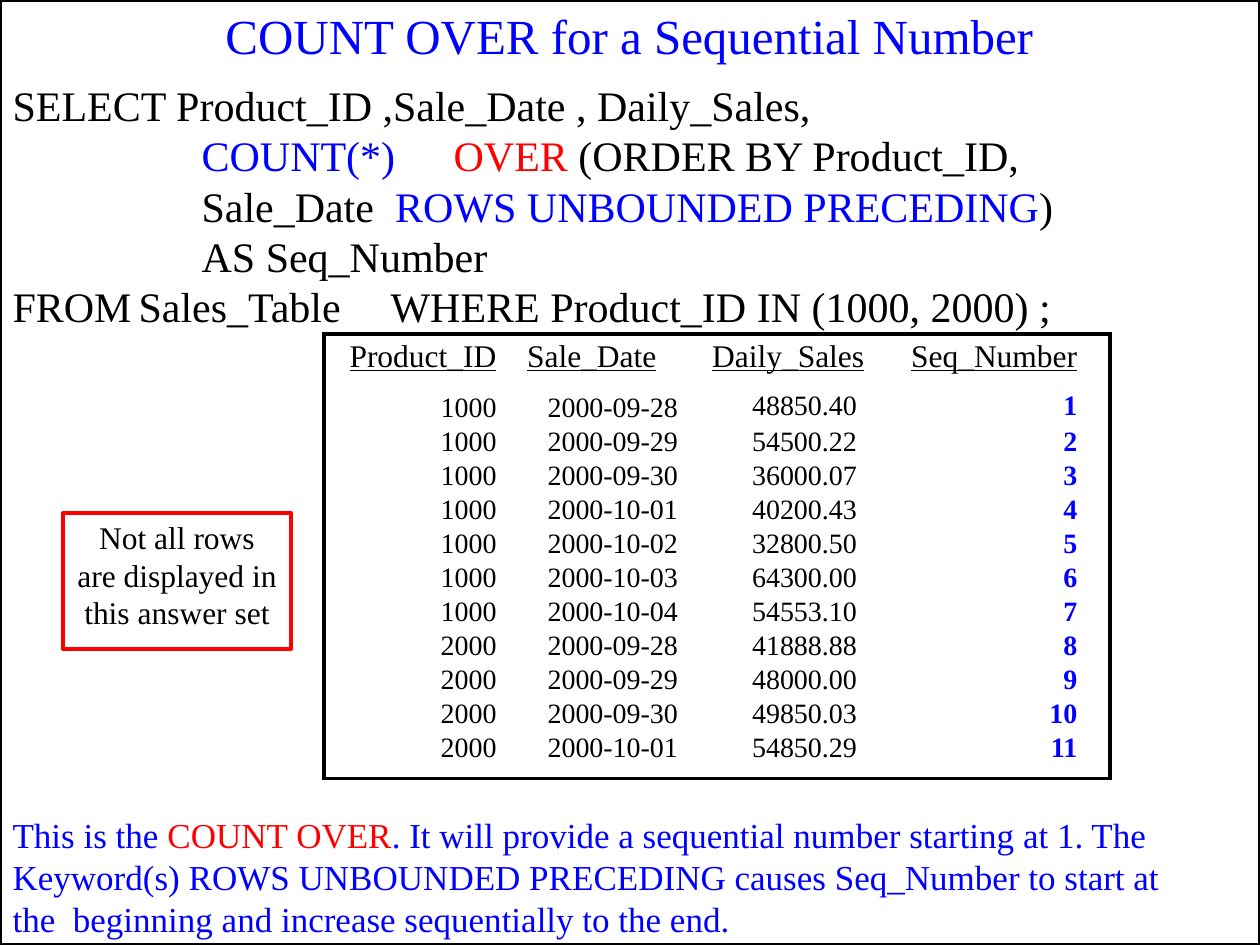
from pptx import Presentation
from pptx.dml.color import RGBColor
from pptx.enum.shapes import MSO_SHAPE
from pptx.enum.text import MSO_ANCHOR, PP_ALIGN
from pptx.oxml.ns import qn
from pptx.util import Inches, Pt
from lxml.etree import SubElement

FONT = "Times New Roman"
BLACK, BLUE, RED = "000000", "0000FF", "FF0000"
COLUMN_WIDTHS = [1.48, 1.46, 1.52, 1.78]
ROW_HEIGHTS = [0.41, 0.32] + [0.27] * 9 + [0.37]
HEADER_MARGINS = [0.11, 0.3, 0.17, 0.26]
BODY_MARGINS = [0.11, 0.13, 0.23, 0.26]
HEADERS = ["Product_ID", "Sale_Date", "Daily_Sales", "Seq_Number"]
SALES = [
    ("1000", "2000-09-28", "48850.40"),
    ("1000", "2000-09-29", "54500.22"),
    ("1000", "2000-09-30", "36000.07"),
    ("1000", "2000-10-01", "40200.43"),
    ("1000", "2000-10-02", "32800.50"),
    ("1000", "2000-10-03", "64300.00"),
    ("1000", "2000-10-04", "54553.10"),
    ("2000", "2000-09-28", "41888.88"),
    ("2000", "2000-09-29", "48000.00"),
    ("2000", "2000-09-30", "49850.03"),
    ("2000", "2000-10-01", "54850.29"),
]


def color(value):
    """Turn a hex string into a colour."""
    return RGBColor.from_string(value)


def add_run(paragraph, text, size, value=BLACK, bold=False, underline=False):
    """Append one formatted run to a paragraph."""
    run = paragraph.add_run()
    run.text = text
    font = run.font
    font.name, font.size, font.bold, font.underline = FONT, Pt(size), bold, underline
    font.color.rgb = color(value)


def set_margins(frame, top, right=0):
    """Set the inner margins of a text frame or table cell."""
    frame.margin_left = frame.margin_bottom = 0
    frame.margin_top, frame.margin_right = Inches(top), Inches(right)


def set_indents(paragraph, left, right=0, tabs=()):
    """Set paragraph indents and left tab stops."""
    properties = paragraph._p.get_or_add_pPr()
    properties.set("marL", str(Inches(left)))
    properties.set("marR", str(Inches(right)))
    properties.set("indent", "0")
    if tabs:
        tab_list = SubElement(properties, qn("a:tabLst"))
        for position in tabs:
            SubElement(tab_list, qn("a:tab"), pos=str(Inches(position)), algn="l")


def add_text(slide, left, top, width, height, size, paragraphs, before=1):
    """Add a text box from (left indent, right indent, tabs, runs) paragraphs."""
    shape = slide.shapes.add_textbox(Inches(left), Inches(top), Inches(width), Inches(height))
    frame = shape.text_frame
    frame.word_wrap = True
    set_margins(frame, 0.01)
    for index, (indent, right, tabs, runs) in enumerate(paragraphs):
        paragraph = frame.add_paragraph() if index else frame.paragraphs[0]
        paragraph.space_before = Pt(0 if index else before)
        set_indents(paragraph, indent, right, tabs)
        for text, value in runs:
            add_run(paragraph, text, size, value)


def add_outline(slide, left, top, width, height, value, weight):
    """Add an unfilled rectangle with a coloured outline."""
    shape = slide.shapes.add_shape(
        MSO_SHAPE.RECTANGLE, Inches(left), Inches(top), Inches(width), Inches(height))
    shape.shadow.inherit = False
    shape.fill.background()
    shape.line.color.rgb = color(value)
    shape.line.width = Pt(weight)
    return shape


def add_note(slide, lines):
    """Add the red-framed remark beside the answer set."""
    frame = add_outline(slide, 0.5, 4.07, 1.81, 1.08, RED, 2.25).text_frame
    frame.word_wrap = True
    frame.vertical_anchor = MSO_ANCHOR.TOP
    set_margins(frame, 0.04)
    paragraph = frame.paragraphs[0]
    paragraph.alignment = PP_ALIGN.CENTER
    paragraph.space_before = Pt(3)
    for index, line in enumerate(lines):
        if index:
            paragraph.add_line_break()
        add_run(paragraph, line, 18)


def set_borders(cell, visible):
    """Draw the given sides of a cell and clear the others."""
    properties = cell._tc.get_or_add_tcPr()
    for index, side in enumerate("LRTB"):
        line = SubElement(properties, qn(f"a:ln{side}"), w=str(Pt(2.25)))
        properties.insert(index, line)
        if side in visible:
            fill = SubElement(line, qn("a:solidFill"))
            SubElement(fill, qn("a:srgbClr"), val=BLACK)
        else:
            SubElement(line, qn("a:noFill"))


def fill_cell(cell, text, row, column):
    """Write one answer set value in the style of its row and column."""
    header = row == 0
    margins = HEADER_MARGINS if header else BODY_MARGINS
    set_margins(cell, 0.04 if row < 2 else 0, margins[column])
    cell.fill.background()
    paragraph = cell.text_frame.paragraphs[0]
    paragraph.alignment = PP_ALIGN.RIGHT
    if row < 2:
        paragraph.space_before = Pt(3)
    if row == 1 and column < 2:
        paragraph.line_spacing = Pt(19)
    elif row > 1:
        paragraph.line_spacing = Pt(18.2 if column < 2 else 18)
    numbered = column == 3 and not header
    add_run(paragraph, text, 18 if header else 16, BLUE if numbered else BLACK, numbered, header)


def add_answer_set(slide):
    """Add the answer set table with an outer border only."""
    rows = [HEADERS] + [[*sale, str(number)] for number, sale in enumerate(SALES, 1)]
    last_row, last_column = len(rows) - 1, len(HEADERS) - 1
    table = slide.shapes.add_table(
        len(rows), len(HEADERS), Inches(2.57), Inches(2.65),
        Inches(sum(COLUMN_WIDTHS)), Inches(sum(ROW_HEIGHTS))).table
    table.first_row = table.horz_banding = False
    for column, width in zip(table.columns, COLUMN_WIDTHS):
        column.width = Inches(width)
    for table_row, height in zip(table.rows, ROW_HEIGHTS):
        table_row.height = Inches(height)
    for row, values in enumerate(rows):
        for column, text in enumerate(values):
            cell = table.cell(row, column)
            fill_cell(cell, text, row, column)
            edges = {"L": column == 0, "R": column == last_column,
                     "T": row == 0, "B": row == last_row}
            set_borders(cell, [side for side, outer in edges.items() if outer])


def main():
    """Build the slide and save it."""
    presentation = Presentation()
    presentation.slide_width, presentation.slide_height = Inches(10), Inches(7.5)
    slide = presentation.slides.add_slide(presentation.slide_layouts[6])
    add_outline(slide, 0, 0, 10, 7.5, BLACK, 2)
    add_text(slide, 0.09, 0.62, 9.18, 1.63, 24, [
        (0.01, 0, (), [("SELECT ", BLACK), ("Product_ID ,Sale_Date , Daily_Sales,", BLACK)]),
        (1.51, 0.6, (3.22,), [
            ("COUNT(*)\t", BLUE), ("OVER ", RED), ("(ORDER BY Product_ID, Sale_Date  ", BLACK),
            ("ROWS UNBOUNDED PRECEDING", BLUE), (") AS Seq_Number", BLACK)]),
        (0.01, 0, (1.21, 2.97), [
            ("FROM\tSales_Table\tWHERE Product_ID IN (1000, 2000) ;", BLACK)]),
    ])
    add_text(slide, 0.09, 6.45, 9.53, 1.03, 20, [
        (0.01, 0.2, (), [
            ("This is the ", BLUE), ("COUNT OVER", RED),
            (". It will provide a sequential number starting at 1. The Keyword(s) "
             "ROWS UNBOUNDED PRECEDING causes Seq_Number to start at the  beginning "
             "and increase sequentially to the end.", BLUE)]),
    ])
    add_answer_set(slide)
    add_text(slide, 1.78, 0.03, 6.44, 0.49, 28, [
        (0.01, 0, (), [("COUNT OVER for a Sequential Number", BLUE)])])
    add_note(slide, ["Not all rows", "are displayed in", "this answer set"])
    presentation.save("out.pptx")


if __name__ == "__main__":
    main()
